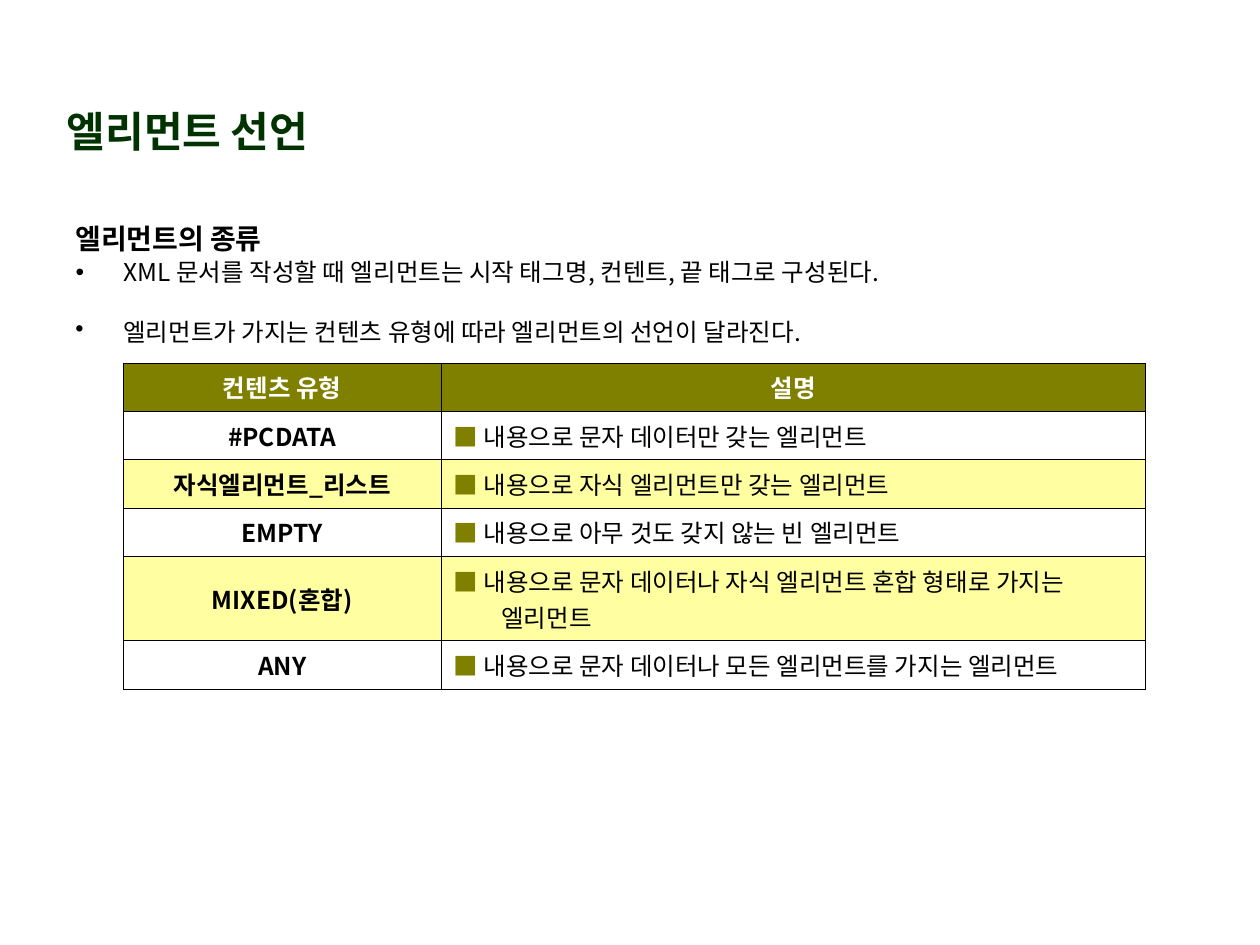
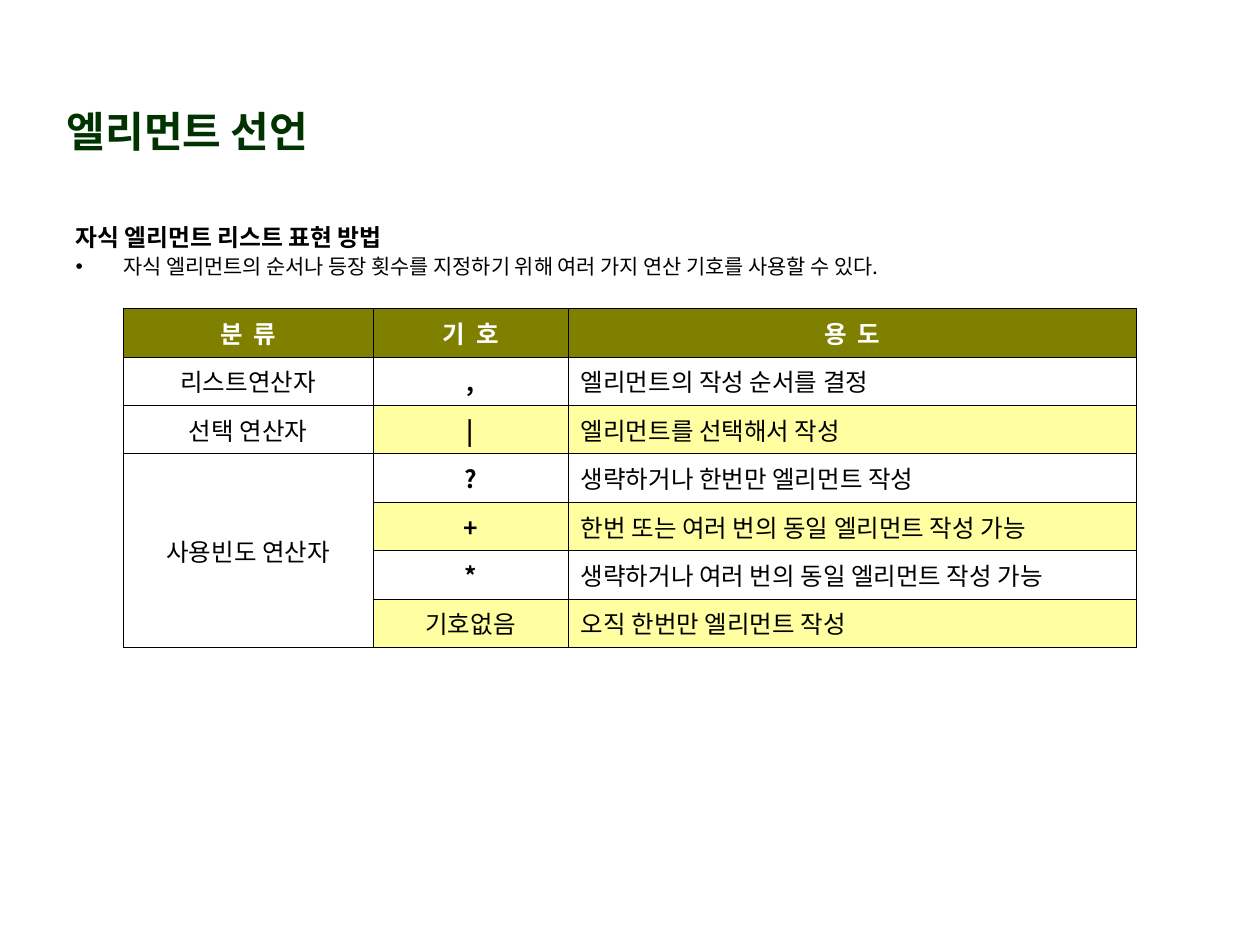
from dataclasses import dataclass

from lxml.etree import SubElement
from pptx import Presentation
from pptx.dml.color import RGBColor
from pptx.enum.text import MSO_ANCHOR as Anchor, MSO_AUTO_SIZE as AutoSize, PP_ALIGN as Align
from pptx.oxml.ns import qn
from pptx.util import Inches, Pt


@dataclass(frozen=True)
class Theme:
    font: str = "Noto Sans CJK KR"
    title: str = "003300"
    ink: str = "000000"
    olive: str = "808000"
    band: str = "FFFFA1"
    white: str = "FFFFFF"
    title_size: float = 24
    heading_size: float = 16
    text_size: float = 14
    border: float = 0.45
    hang: float = 0.38
    row: float = 0.383


THEME = Theme()
TITLE = "엘리먼트 선언"
MARKER = "■ "
TITLE_BOX = (0.43, 0.76, 4.41, 0.55)
SAME_AS_ABOVE = None

TOPICS = [
    {
        "heading": "엘리먼트의 종류",
        "point": "XML 문서를 작성할 때 엘리먼트는 시작 태그명, 컨텐트, 끝 태그로 구성된다.",
        "scale": 1,
        "body_box": (0.5, 1.75, 8.99, 0.66),
        "extra_point": "엘리먼트가 가지는 컨텐츠 유형에 따라 엘리먼트의 선언이 달라진다.",
        "extra_box": (0.5, 2.49, 8.99, 0.35),
        "table_at": (0.98, 2.88),
        "columns": [2.52, 5.59],
        "bold_column": 0,
        "plain": (),
        "marked_column": 1,
        "first_banded_column": 0,
        "tall_rows": {4: 0.67},
        "rows": [
            ("컨텐츠 유형", "설명"),
            ("#PCDATA", "내용으로 문자 데이터만 갖는 엘리먼트"),
            ("자식엘리먼트_리스트", "내용으로 자식 엘리먼트만 갖는 엘리먼트"),
            ("EMPTY", "내용으로 아무 것도 갖지 않는 빈 엘리먼트"),
            ("MIXED(혼합)", "내용으로 문자 데이터나 자식 엘리먼트 혼합 형태로 가지는 엘리먼트"),
            ("ANY", "내용으로 문자 데이터나 모든 엘리먼트를 가지는 엘리먼트"),
        ],
    },
    {
        "heading": "자식 엘리먼트 리스트 표현 방법",
        "point": "자식 엘리먼트의 순서나 등장 횟수를 지정하기 위해 여러 가지 연산 기호를 사용할 수 있다.",
        "scale": 0.85,
        "body_box": (0.5, 1.75, 8.99, 0.58),
        "extra_point": None,
        "table_at": (0.98, 2.45),
        "columns": [1.98, 1.55, 4.51],
        "bold_column": 1,
        "plain": ("기호없음",),
        "marked_column": None,
        "first_banded_column": 1,
        "tall_rows": {},
        "rows": [
            ("분  류", "기  호", "용  도"),
            ("리스트연산자", ",", "엘리먼트의 작성 순서를 결정"),
            ("선택 연산자", "|", "엘리먼트를 선택해서 작성"),
            ("사용빈도 연산자", "?", "생략하거나 한번만 엘리먼트 작성"),
            (SAME_AS_ABOVE, "+", "한번 또는 여러 번의 동일 엘리먼트 작성 가능"),
            (SAME_AS_ABOVE, "*", "생략하거나 여러 번의 동일 엘리먼트 작성 가능"),
            (SAME_AS_ABOVE, "기호없음", "오직 한번만 엘리먼트 작성"),
        ],
    },
]


def write(frame, text, size=THEME.text_size, color=THEME.ink, bold=False, align=Align.LEFT,
          before=0, spacing=1, hanging=False, bullet=None, marker=None):
    last = frame.paragraphs[-1]
    para = frame.add_paragraph() if last.runs else last
    para.alignment = align
    para.space_before = Pt(before)
    para.line_spacing = spacing
    props = para._p.get_or_add_pPr()
    hang = Inches(THEME.hang) if hanging else 0
    props.set("marL", str(hang))
    props.set("indent", str(-hang))
    if bullet:
        tint = SubElement(props, qn("a:buClr"))
        SubElement(tint, qn("a:srgbClr"), val=THEME.ink)
        SubElement(props, qn("a:buChar"), char=bullet)
    else:
        SubElement(props, qn("a:buNone"))
    pieces = [(marker, THEME.olive)] if marker else []
    for piece, tone in pieces + [(text, color)]:
        run = para.add_run()
        run.text = piece
        run.font.size = Pt(size)
        run.font.bold = bold
        run.font.name = THEME.font
        run.font.color.rgb = RGBColor.from_string(tone)
        SubElement(run._r.get_or_add_rPr(), qn("a:ea"), typeface=THEME.font)


def place(shape, box, anchor=Anchor.TOP):
    shape.left, shape.top, shape.width, shape.height = map(Inches, box)
    frame = shape.text_frame
    frame.word_wrap = True
    frame.auto_size = AutoSize.NONE
    frame.vertical_anchor = anchor
    return frame


def outline(cell):
    props = cell._tc.get_or_add_tcPr()
    for side in ("lnL", "lnR", "lnT", "lnB"):
        edge = SubElement(props, qn(f"a:{side}"), w=str(Pt(THEME.border)))
        SubElement(SubElement(edge, qn("a:solidFill")), qn("a:srgbClr"), val=THEME.ink)


def shade(cell, color):
    if color:
        cell.fill.solid()
        cell.fill.fore_color.rgb = RGBColor.from_string(color)
    else:
        cell.fill.background()


def fill_cell(cell, text, row, col, topic):
    header = row == 0
    banded = row % 2 == 0 and col >= topic["first_banded_column"]
    outline(cell)
    shade(cell, THEME.olive if header else THEME.band if banded else None)
    cell.vertical_anchor = Anchor.MIDDLE
    if text is SAME_AS_ABOVE:
        return
    marked = not header and col == topic["marked_column"]
    description = col == len(topic["columns"]) - 1
    write(cell.text_frame, text,
          color=THEME.white if header else THEME.ink,
          bold=header or (col == topic["bold_column"] and text not in topic["plain"]),
          align=Align.LEFT if description and not header else Align.CENTER,
          hanging=marked, marker=MARKER if marked else None)


def add_grid(slide, topic):
    rows, columns = topic["rows"], topic["columns"]
    heights = [topic["tall_rows"].get(row, THEME.row) for row in range(len(rows))]
    extent = (*topic["table_at"], sum(columns), sum(heights))
    grid = slide.shapes.add_table(len(rows), len(columns), *map(Inches, extent)).table
    grid.first_row = grid.horz_banding = False
    for col, width in enumerate(columns):
        grid.columns[col].width = Inches(width)
    for row, texts in enumerate(rows):
        grid.rows[row].height = Inches(heights[row])
        for col, text in enumerate(texts):
            fill_cell(grid.cell(row, col), text, row, col, topic)
    shared = [row for row, texts in enumerate(rows) if texts[0] is SAME_AS_ABOVE]
    if shared:
        grid.cell(shared[0] - 1, 0).merge(grid.cell(shared[-1], 0))


def add_topic(deck, topic):
    slide = deck.slides.add_slide(deck.slide_layouts[1])
    title = place(slide.shapes.title, TITLE_BOX, Anchor.MIDDLE)
    write(title, TITLE, size=THEME.title_size, color=THEME.title, bold=True)
    body = place(slide.placeholders[1], topic["body_box"])
    scale = topic["scale"]
    write(body, topic["heading"], size=THEME.heading_size * scale, bold=True,
          before=4, spacing=0.85, hanging=True)
    write(body, topic["point"], size=THEME.text_size * scale,
          before=3.5, spacing=0.85, hanging=True, bullet="•")
    if topic["extra_point"]:
        box = topic["extra_box"]
        extra = place(slide.shapes.add_textbox(*map(Inches, box)), box)
        write(extra, topic["extra_point"], before=3.5, spacing=0.9, hanging=True, bullet="•")
    add_grid(slide, topic)


def main():
    deck = Presentation()
    deck.slide_width, deck.slide_height = Inches(10), Inches(7.5)
    for topic in TOPICS:
        add_topic(deck, topic)
    deck.save("out.pptx")


if __name__ == "__main__":
    main()
